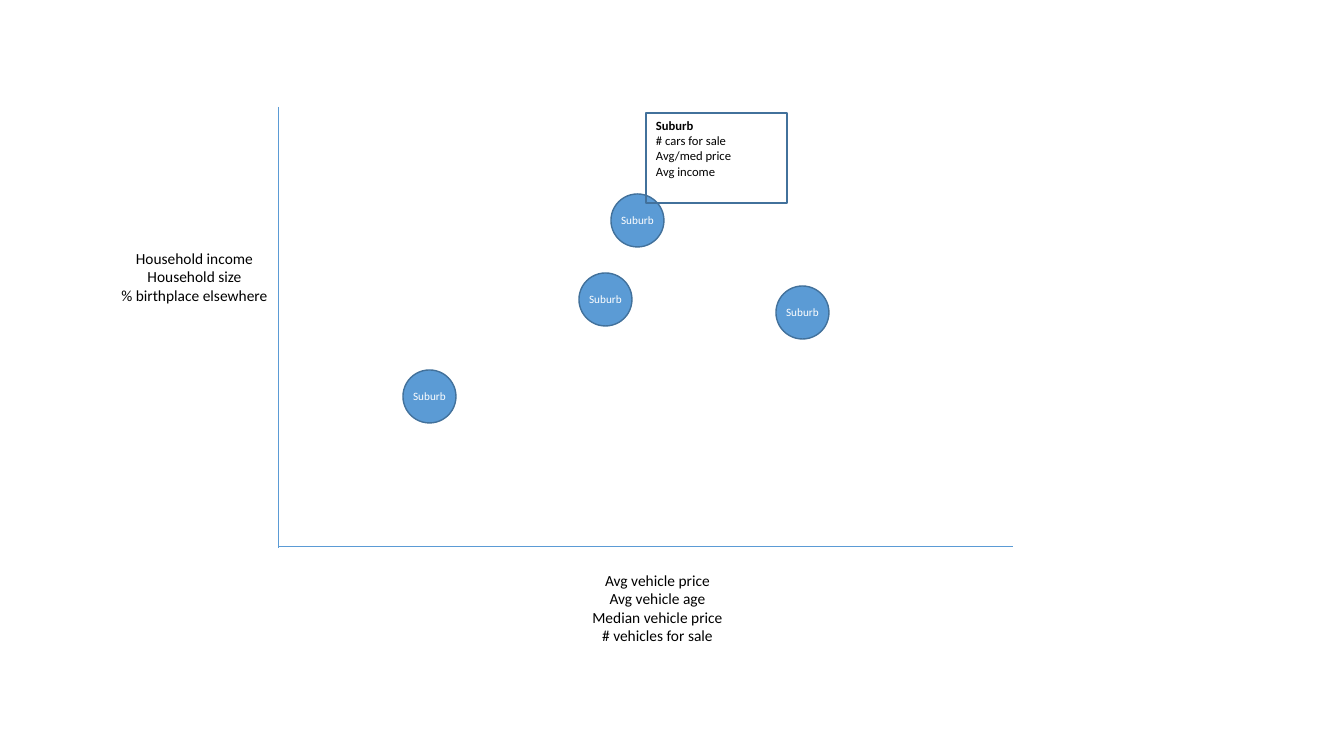
from lxml import etree
from pptx import Presentation
from pptx import util as u
from pptx.dml.color import RGBColor
from pptx.enum import shapes, text
from pptx.oxml import ns

PX = u.Inches(1) / 100.8
COLORS = {"bubble": "5B9BD5", "outline": "42719B", "ink": "000000", "white": "FFFFFF"}
INSET_X, INSET_Y = 10, 5
BUBBLE = 53


def emu(*lengths):
    return [round(length * PX) for length in lengths]


def write(shape, lines, size, color, align, frame_format):
    frame = shape.text_frame
    for key, value in frame_format.items():
        setattr(frame, key, value)
    frame.text = "\n".join(lines)
    for paragraph in frame.paragraphs:
        paragraph.alignment = align
        font = paragraph.runs[0].font
        for key, value in {"name": "Calibri", "size": u.Pt(size)}.items():
            setattr(font, key, value)
        font.color.rgb = RGBColor.from_string(COLORS[color])


prs = Presentation()
prs.slide_width, prs.slide_height = emu(1344, 756)
slide = prs.slides.add_slide(prs.slide_layouts[6])

margin_x, margin_y = emu(INSET_X, INSET_Y)
padding = {
    "margin_left": margin_x, "margin_right": margin_x,
    "margin_top": margin_y, "margin_bottom": margin_y,
}

for ends in [(279, 107, 279, 548), (279, 547, 1013, 547)]:
    axis = slide.shapes.add_connector(shapes.MSO_CONNECTOR.STRAIGHT, *emu(*ends))
    axis.line.color.rgb = RGBColor.from_string(COLORS["bubble"])
    axis.line.width = u.Pt(0.75)
    etree.SubElement(axis._element.spPr, ns.qn("a:effectLst"))

axis_labels = [
    ((582, 566, 151, 85), ["Avg vehicle price", "Avg vehicle age",
                           "Median vehicle price", "# vehicles for sale"]),
    ((111, 244, 167, 85), ["Household income", "Household size",
                           "% birthplace elsewhere"]),
]
label_format = padding | {
    "word_wrap": False, "auto_size": text.MSO_AUTO_SIZE.SHAPE_TO_FIT_TEXT,
}
for box, measures in axis_labels:
    label = slide.shapes.add_textbox(*emu(*box))
    write(label, measures, 11, "ink", text.PP_ALIGN.CENTER, label_format)

bubble_format = {
    "margin_left": 0, "margin_right": 0, "margin_top": 0, "margin_bottom": 0,
    "word_wrap": True, "vertical_anchor": text.MSO_ANCHOR.MIDDLE,
}
for left, top in [(403, 370), (776, 286), (579, 273), (611, 194)]:
    suburb = slide.shapes.add_shape(
        shapes.MSO_SHAPE.OVAL, *emu(left, top, BUBBLE, BUBBLE))
    suburb.shadow.inherit = False
    suburb.fill.solid()
    suburb.fill.fore_color.rgb = RGBColor.from_string(COLORS["bubble"])
    suburb.line.color.rgb = RGBColor.from_string(COLORS["outline"])
    suburb.line.width = u.Pt(1)
    write(suburb, ["Suburb"], 8, "white", text.PP_ALIGN.CENTER, bubble_format)

tooltip = slide.shapes.add_shape(
    shapes.MSO_SHAPE.RECTANGLE, *emu(646, 113, 141, 90))
tooltip.shadow.inherit = False
tooltip.fill.background()
tooltip.line.color.rgb = RGBColor.from_string(COLORS["outline"])
tooltip.line.width = u.Pt(1)
tooltip_format = padding | {"word_wrap": True, "vertical_anchor": text.MSO_ANCHOR.TOP}
write(tooltip, ["Suburb", "# cars for sale", "Avg/med price", "Avg income"],
      9, "ink", text.PP_ALIGN.LEFT, tooltip_format)
tooltip.text_frame.paragraphs[0].runs[0].font.bold = True

prs.save("out.pptx")
